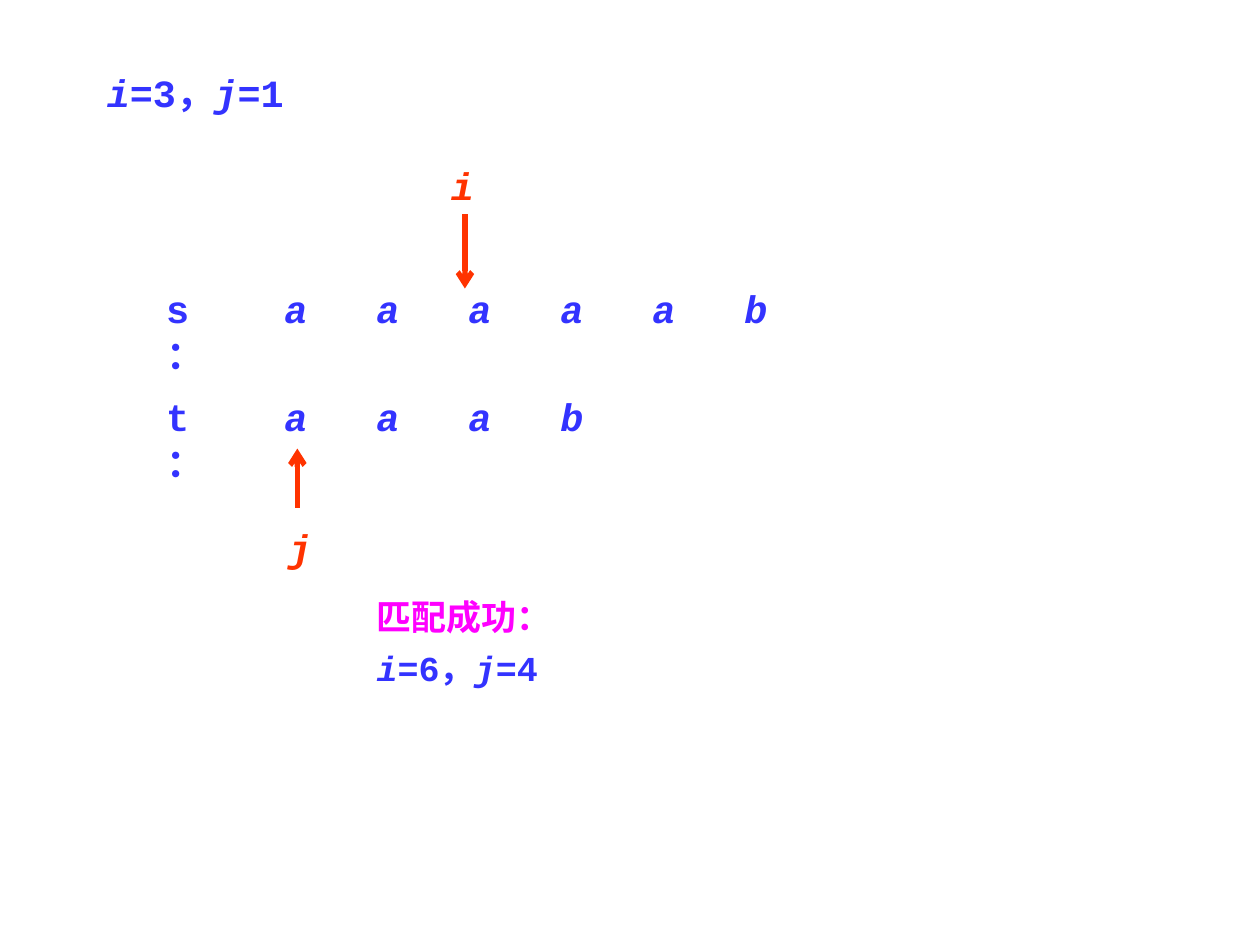
from lxml import etree
from pptx import Presentation
from pptx.dml.color import RGBColor
from pptx.enum import shapes, text
from pptx.oxml.ns import qn
from pptx.util import Inches, Pt

BLUE = RGBColor(0x33, 0x33, 0xFF)
RED = RGBColor(0xFF, 0x33, 0x00)
MAGENTA = RGBColor(0xFF, 0x00, 0xFF)
FONT = "Courier New"

STRINGS = [("s：", "aaaaab", 5.43), ("t：", "aaab", 3.47)]
START = [("i", True), ("=3，", False), ("j", True), ("=1", False)]
RESULT_HEADING = [("匹配成功：", False)]
RESULT = [("i", True), ("=6，", False), ("j", True), ("=4", False)]
POINTERS = [
    ("i", 3.48, 1.24, 3.69, 1.7, 2.29),
    ("j", 2.19, 4.11, 2.36, 4.03, 3.56),
]

FIRST_ROW, ROW_STEP, LINE_HEIGHT = 2.21, 0.86, 0.47
NAME_LEFT, LETTERS_LEFT, LETTER_STEP = 1.22, 2.16, 0.73


def add_tabs(paragraph, count):
    tab_list = etree.SubElement(paragraph._p.get_or_add_pPr(), qn("a:tabLst"))
    for number in range(1, count):
        position = Inches(number * LETTER_STEP)
        etree.SubElement(tab_list, qn("a:tab"), pos=str(position), algn="l")


def add_text(slide, left, top, width, height, lines, size=22, spacing=None):
    box = slide.shapes.add_textbox(Inches(left), Inches(top), Inches(width), Inches(height))
    frame = box.text_frame
    frame.word_wrap = True
    frame.auto_size = text.MSO_AUTO_SIZE.SHAPE_TO_FIT_TEXT
    for index, (runs, color) in enumerate(lines):
        paragraph = frame.add_paragraph() if index else frame.paragraphs[0]
        tab_count = runs[0][0].count("\t")
        if tab_count:
            add_tabs(paragraph, tab_count + 1)
        if index:
            paragraph.space_before = Pt(12.5)
        if spacing:
            paragraph.line_spacing = spacing
        for words, italic in runs:
            run = paragraph.add_run()
            run.text = words
            run.font.name = FONT
            run.font.size = Pt(size)
            run.font.bold = True
            run.font.italic = italic
            run.font.color.rgb = color


def add_arrow(slide, x, start, end):
    arrow = slide.shapes.add_connector(
        shapes.MSO_CONNECTOR.STRAIGHT, Inches(x), Inches(start), Inches(x), Inches(end))
    arrow.line.color.rgb = RED
    arrow.line.width = Pt(3)
    etree.SubElement(arrow.line._get_or_add_ln(), qn("a:tailEnd"), type="arrow")
    etree.SubElement(arrow._element.spPr, qn("a:effectLst"))


def main():
    presentation = Presentation()
    presentation.slide_width, presentation.slide_height = Inches(10), Inches(7.5)
    slide = presentation.slides.add_slide(presentation.slide_layouts[6])

    for row, (name, letters, width) in enumerate(STRINGS):
        top = FIRST_ROW + row * ROW_STEP
        add_text(slide, LETTERS_LEFT, top, width, LINE_HEIGHT,
                 [([("\t".join(letters), True)], BLUE)])
        add_text(slide, NAME_LEFT, top, LINE_HEIGHT, LINE_HEIGHT, [([(name, False)], BLUE)])

    for name, left, top, x, start, end in POINTERS:
        add_arrow(slide, x, start, end)
        add_text(slide, left, top, 0.5, LINE_HEIGHT, [([(name, True)], RED)])

    add_text(slide, 2.89, 4.77, 4.02, 0.74,
             [(RESULT_HEADING, MAGENTA), (RESULT, BLUE)], size=20, spacing=0.7)
    add_text(slide, 0.75, 0.6, 2.34, 0.36, [(START, BLUE)], spacing=0.7)
    presentation.save("out.pptx")


if __name__ == "__main__":
    main()
